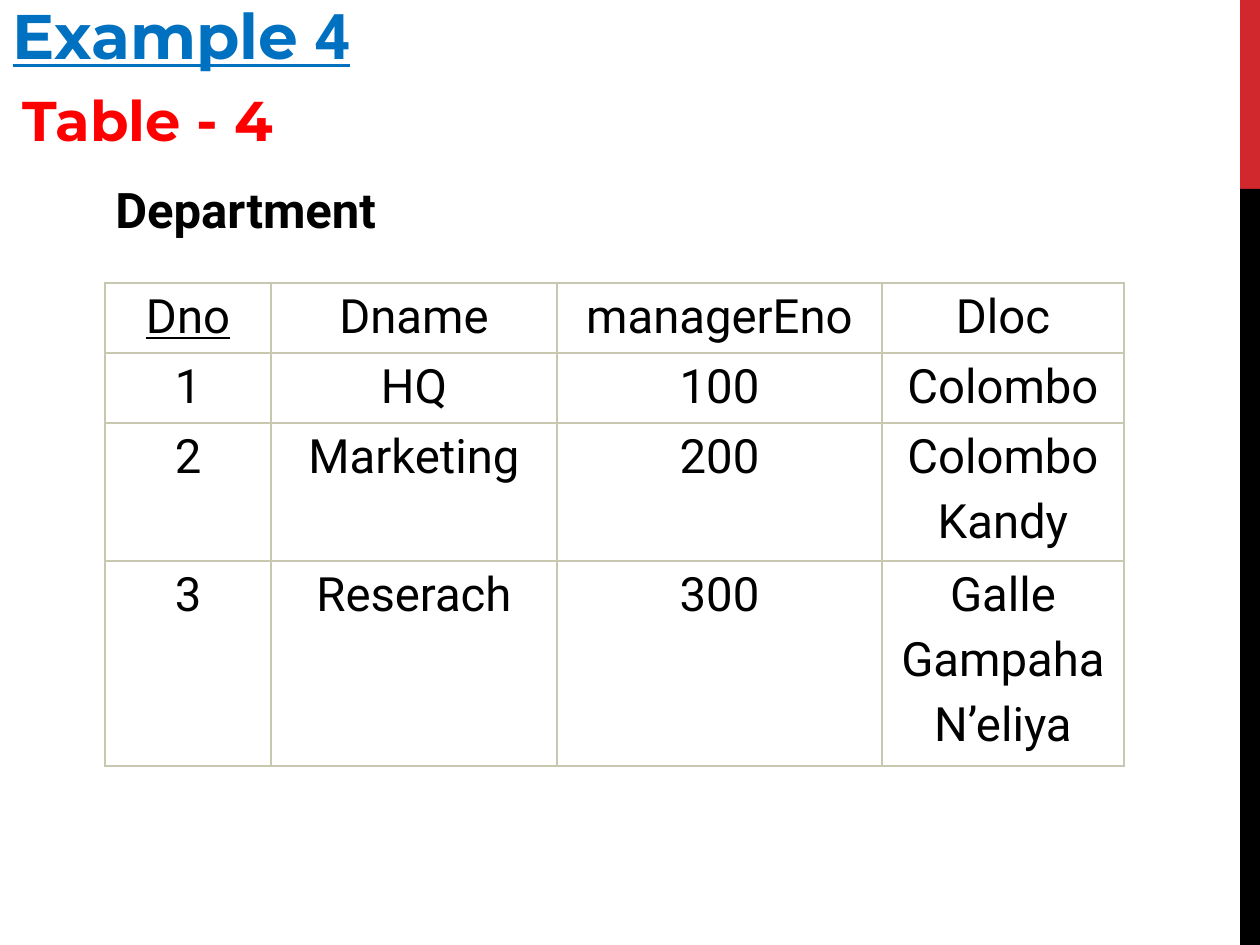
from lxml import etree
from pptx import Presentation
from pptx import util as u
from pptx.dml.color import RGBColor
from pptx.enum import shapes, text
from pptx.oxml import ns

PIXEL = 914400 / 126
RED = RGBColor(0xFF, 0x00, 0x00)
BLUE = RGBColor(0x00, 0x70, 0xC0)
BLACK = RGBColor(0x00, 0x00, 0x00)
CRIMSON = RGBColor(0xD1, 0x28, 0x2E)
BORDER = RGBColor(0xC8, 0xC8, 0xB1)

SIDE_BARS = [((1240, 0, 20, 189), CRIMSON), ((1240, 189, 20, 756), BLACK)]
TITLE = [("Example", "Montserrat"), (" 4", "Roboto")]
TITLE_AREA = (0, -10, 404, 90)
LABELS = [
    ("Department", (103, 173, 324, 72), 28, "Roboto", BLACK),
    ("Table - 4", (10, 79, 347, 81), 32, "Montserrat", RED),
]
TABLE_ORIGIN = (105, 283)
COLUMN_WIDTHS = (166, 286, 325, 242)
ROW_HEIGHTS = (70, 70, 138, 205)
DEPARTMENTS = [
    ("Dno", "Dname", "managerEno", "Dloc"),
    ("1", "HQ", "100", "Colombo"),
    ("2", "Marketing", "200", "Colombo\nKandy"),
    ("3", "Reserach", "300", "Galle\nGampaha\nN’eliya"),
]


def px(length):
    return u.Emu(round(length * PIXEL))


def place(area):
    return [px(length) for length in area]


def style(font, name, size, color, bold=False):
    font.name, font.size, font.bold = name, u.Pt(size), bold
    font.color.rgb = color


def draw_borders(cell):
    properties = cell._tc.get_or_add_tcPr()
    for index, side in enumerate(("a:lnL", "a:lnR", "a:lnT", "a:lnB")):
        line = etree.Element(ns.qn(side), w=str(u.Pt(1)))
        fill = etree.SubElement(line, ns.qn("a:solidFill"))
        etree.SubElement(fill, ns.qn("a:srgbClr"), val=str(BORDER))
        properties.insert(index, line)


deck = Presentation()
deck.slide_width, deck.slide_height = px(1260), px(945)
page = deck.slides.add_slide(deck.slide_layouts[5])

for area, color in SIDE_BARS:
    bar = page.shapes.add_shape(shapes.MSO_SHAPE.RECTANGLE, *place(area))
    bar.shadow.inherit = False
    bar.fill.solid()
    bar.fill.fore_color.rgb = color
    bar.line.fill.background()

title = page.shapes.title
title.left, title.top, title.width, title.height = place(TITLE_AREA)
frame = title.text_frame
frame.word_wrap = False
frame.auto_size = text.MSO_AUTO_SIZE.NONE
frame.vertical_anchor = text.MSO_ANCHOR.TOP
para = frame.paragraphs[0]
para.alignment = text.PP_ALIGN.LEFT
for words, font_name in TITLE:
    span = para.add_run()
    span.text = words
    style(span.font, font_name, 36, BLUE, bold=True)
    span.font.underline = True

for words, area, size, font_name, color in LABELS:
    box = page.shapes.add_textbox(*place(area))
    box.text_frame.word_wrap = True
    para = box.text_frame.paragraphs[0]
    para.text = words
    style(para.font, font_name, size, color, bold=True)

table_area = (*TABLE_ORIGIN, sum(COLUMN_WIDTHS), sum(ROW_HEIGHTS))
table = page.shapes.add_table(
    len(ROW_HEIGHTS), len(COLUMN_WIDTHS), *place(table_area)).table
table.first_row = table.horz_banding = False
for column, width in zip(table.columns, COLUMN_WIDTHS):
    column.width = px(width)
for row, height, values in zip(table.rows, ROW_HEIGHTS, DEPARTMENTS):
    row.height = px(height)
    for cell, value in zip(row.cells, values):
        cell.text = value
        cell.fill.background()
        draw_borders(cell)
        for index, para in enumerate(cell.text_frame.paragraphs):
            para.alignment = text.PP_ALIGN.CENTER
            style(para.font, "Roboto", 27, BLACK)
            if index:
                para.space_before = u.Pt(5.4)
table.cell(0, 0).text_frame.paragraphs[0].font.underline = True

deck.save("out.pptx")
